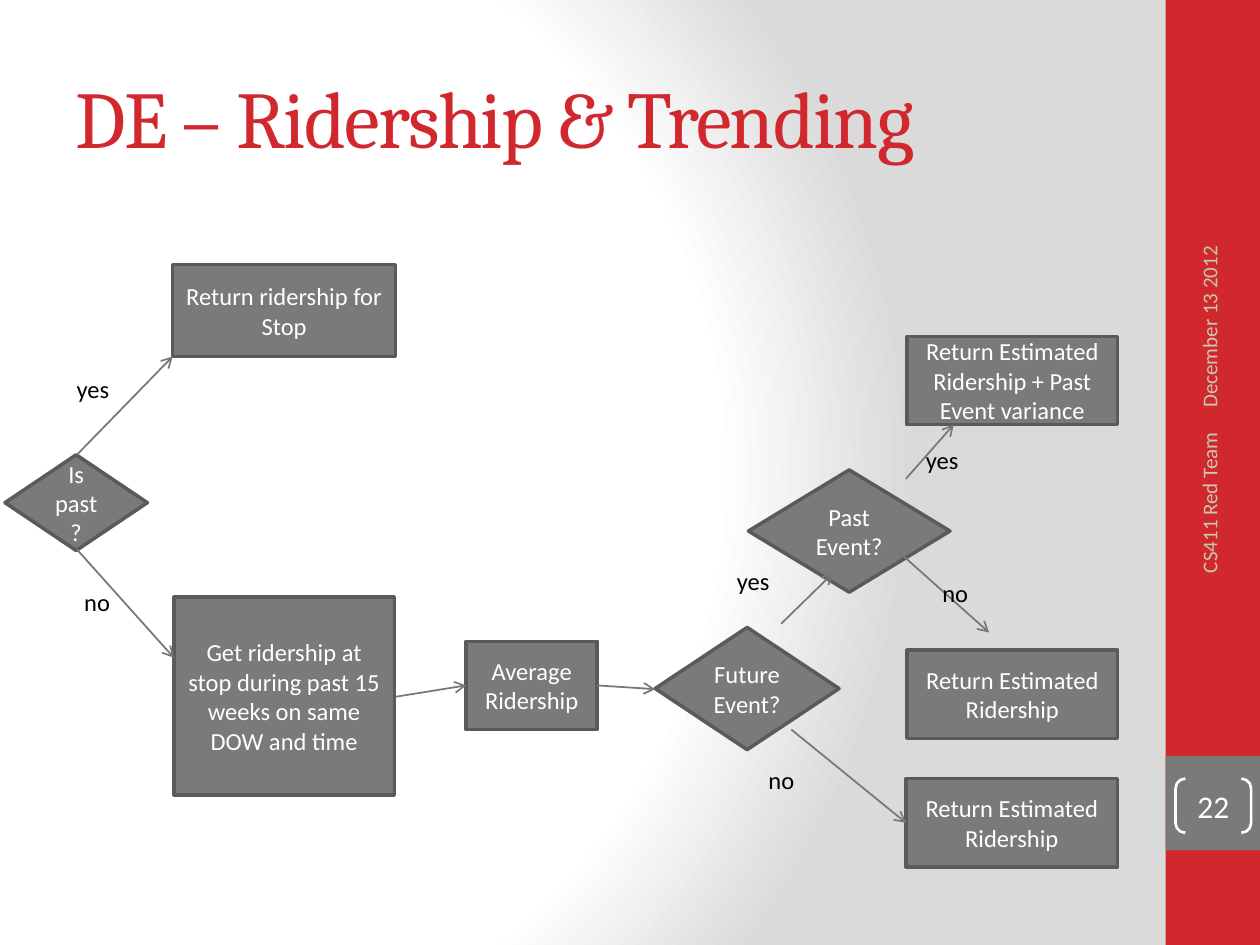
from lxml.etree import SubElement
from pptx import Presentation
from pptx.dml.color import RGBColor
from pptx.enum.shapes import MSO_CONNECTOR as Link, MSO_SHAPE as Kind
from pptx.enum.text import MSO_ANCHOR as Anchor, MSO_AUTO_SIZE as Fit, PP_ALIGN as Align
from pptx.oxml import parse_xml
from pptx.oxml.ns import nsdecls, qn
from pptx.util import Inches, Pt

COLORS = {
    "red": "D1282E", "gray": "7A7A7A", "edge": "5A5A5A", "arrow": "777777",
    "white": "FFFFFF", "black": "000000", "sand": "C8C8B1", "shade": "DADADA",
}
CELL = 0.25  # inches: the slide is a grid of 40 columns by 30 rows
COLUMNS, ROWS = 40, 30
LABEL_ROWS = 1.36


def cells(*counts):
    return [Inches(count * CELL) for count in counts]


def within(box, left, top, width, height):
    """Place a part, given in cells, relative to a region's corner."""
    return cells(box[0] + left, box[1] + top, width, height)


def color(name):
    return RGBColor.from_string(COLORS[name])


def write(part, text, size, ink, align=Align.LEFT, anchor=Anchor.MIDDLE,
          font="Calibri", fit=Fit.NONE, **margins):
    frame = part.text_frame
    layout = {"word_wrap": True, "auto_size": fit, "vertical_anchor": anchor, **margins}
    for name, value in layout.items():
        setattr(frame, name, value)
    para = frame.paragraphs[0]
    para.alignment = align
    span = para.add_run()
    span.text = text
    for name, value in {"name": font, "size": Pt(size), "bold": False}.items():
        setattr(span.font, name, value)
    span.font.color.rgb = color(ink)
    return span


def add_block(page, kind, place, fill=None, edge=None, weight=2):
    block = page.shapes.add_shape(kind, *place)
    block.shadow.inherit = False
    if fill:
        block.fill.solid()
        block.fill.fore_color.rgb = color(fill)
    else:
        block.fill.background()
    if edge:
        block.line.color.rgb = color(edge)
        block.line.width = Pt(weight)
    else:
        block.line.fill.background()
    return block


def add_arrow(page, box, x1, y1, x2, y2):
    ends = cells(box[0] + x1, box[1] + y1, box[0] + x2, box[1] + y2)
    arrow = page.shapes.add_connector(Link.STRAIGHT, *ends)
    arrow.line.color.rgb = color("arrow")
    arrow.line.width = Pt(1)
    SubElement(arrow.line._get_or_add_ln(), qn("a:tailEnd"), type="arrow")
    SubElement(arrow._element.spPr, qn("a:effectLst"))


def add_flow(page, box, nodes, arrows, labels):
    """Draw one flowchart region: nodes, then arrows, then branch labels."""
    for kind, text, *place in nodes:
        node = add_block(page, kind, within(box, *place), "gray", "edge")
        write(node, text, 14, "white", Align.CENTER)
    for ends in arrows:
        add_arrow(page, box, *ends)
    for text, left, top, width in labels:
        label = page.shapes.add_textbox(*within(box, left, top, width, LABEL_ROWS))
        write(label, text, 14, "black", anchor=Anchor.TOP, fit=Fit.SHAPE_TO_FIT_TEXT)


def add_background(page):
    page.background.fill.solid()
    solid = page._element.find(".//" + qn("p:bgPr") + "/" + qn("a:solidFill"))
    stops = "".join(
        f'<a:gs pos="{share * 1000}"><a:srgbClr val="{COLORS[name]}"/></a:gs>'
        for share, name in ((0, "white"), (75, "white"), (100, "shade")))
    gradient = parse_xml(
        f'<a:gradFill {nsdecls("a")} rotWithShape="1"><a:gsLst>{stops}</a:gsLst>'
        '<a:path path="circle"><a:fillToRect l="20000" t="50000" r="100000" b="50000"/>'
        '</a:path></a:gradFill>')
    solid.getparent().replace(solid, gradient)


def add_sidebar(page, box):
    add_block(page, Kind.RECTANGLE, within(box, 0, 0, box[2], box[3]), "red")
    add_block(page, Kind.RECTANGLE, within(box, 0, 24, box[2], 3), "gray")
    # Date and team, turned to read upwards
    for text, align, *place in (
            ("December 13 2012", Align.LEFT, -3.96, 7.2, 10.68, 1.6),
            ("CS411 Red Team", Align.RIGHT, -3.8, 17.72, 10.36, 1.6)):
        note = page.shapes.add_textbox(*within(box, *place))
        note.rotation = 270
        write(note, text, 12, "sand", align)
    # Page number in brackets
    number = add_block(page, Kind.DOUBLE_BRACKET, within(box, 0.32, 24.72, 2.4, 1.72),
                       edge="white", weight=1.5)
    number.adjustments[0] = 0.18
    margins = {f"margin_{side}": 0 for side in ("left", "top", "right", "bottom")}
    write(number, "22", 18, "white", Align.CENTER, **margins)


def add_title(page, box):
    title = page.shapes.title
    for name, value in zip(("left", "top", "width", "height"), cells(*box)):
        setattr(title, name, value)
    span = write(title, "DE – Ridership & Trending", 46, "red", font="Cambria")
    span.font._element.set("spc", "-100")


def add_past_check(page, box):
    add_flow(
        page, box,
        nodes=[
            (Kind.RECTANGLE, "Get ridership at stop during past 15 weeks on same DOW and time",
             5.52, 10.96, 7, 6.28),
            (Kind.RECTANGLE, "Return ridership for Stop", 5.48, 0.4, 7.08, 2.92),
            (Kind.FLOWCHART_DECISION, "Is past?", 0.16, 6.44, 4.52, 3.04),
        ],
        arrows=[(2.44, 6.44, 5.48, 3.32), (2.44, 9.44, 5.52, 12.88)],
        labels=[("yes", 2.04, 3.68, 1.92), ("no", 2.28, 10.44, 1.68)])


def add_event_estimate(page, box):
    decision, process = Kind.FLOWCHART_DECISION, Kind.FLOWCHART_PROCESS
    add_flow(
        page, box,
        nodes=[
            (decision, "Future Event?", 8.8, 9.92, 5.84, 3.88),
            (decision, "Past Event?", 11.76, 4.92, 6.4, 3.88),
            (process, "Return Estimated Ridership + Past Event variance",
             16.8, 0.68, 6.68, 2.8),
            (process, "Return Estimated Ridership", 16.8, 10.64, 6.68, 2.8),
            (process, "Average Ridership", 2.8, 10.36, 4.16, 2.8),
            (process, "Return Estimated Ridership", 16.76, 14.72, 6.72, 2.8),
        ],
        arrows=[
            (0.56, 12.12, 2.8, 11.76), (6.96, 11.76, 8.8, 11.88),
            (12.8, 9.8, 14.44, 8.2), (13.12, 13.16, 16.76, 16.12),
            (16.44, 7.44, 19.4, 10.08), (16.76, 5.2, 18.28, 3.48),
        ],
        labels=[("yes", 11, 7.76, 2.04), ("yes", 17, 3.92, 2.04),
                ("no", 12, 14.08, 2.2), ("no", 17.52, 8.16, 1.8)])


def main():
    deck = Presentation()
    deck.slide_width, deck.slide_height = cells(COLUMNS, ROWS)
    page = deck.slides.add_slide(deck.slide_layouts[5])
    add_background(page)
    add_sidebar(page, (37, 0, 3, ROWS))
    add_title(page, (2, 1.2, 33.32, 5))
    add_past_check(page, (0, 8, 13, 18))
    add_event_estimate(page, (12, 10, 24, 18))
    deck.save("out.pptx")


if __name__ == "__main__":
    main()
